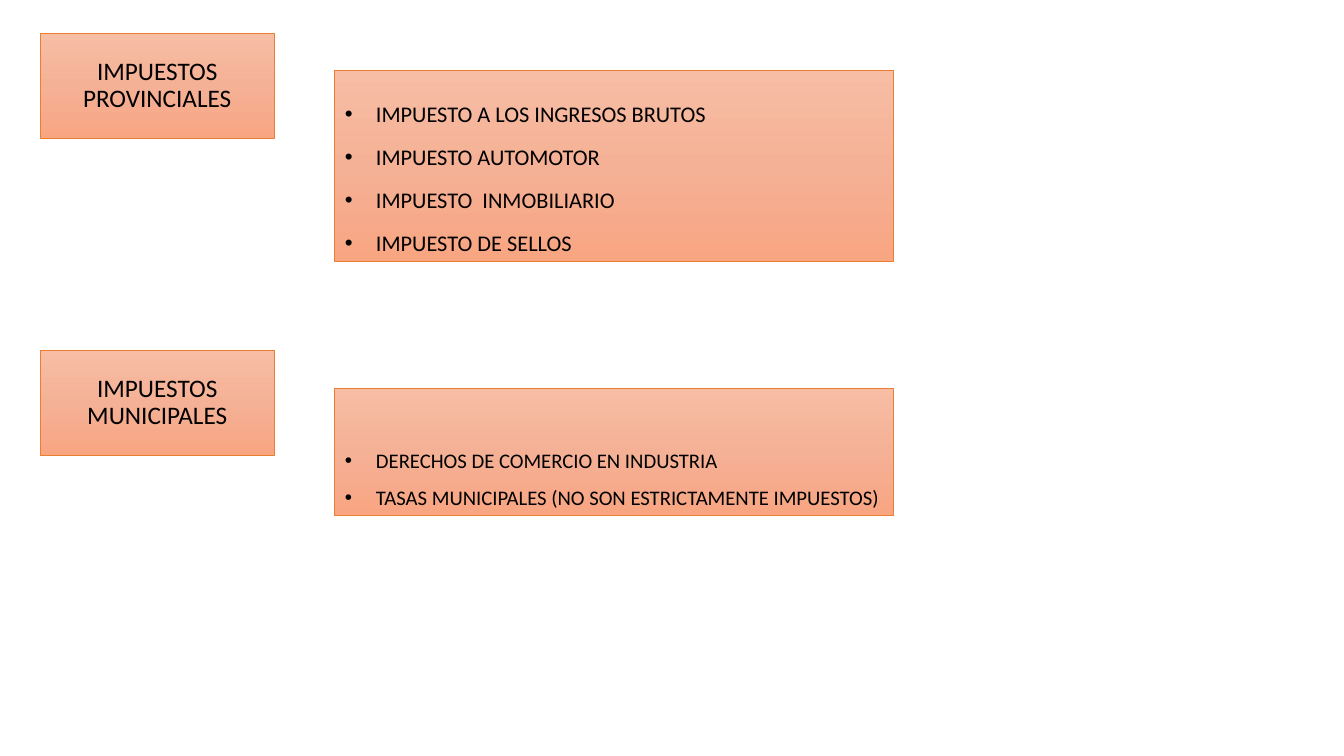
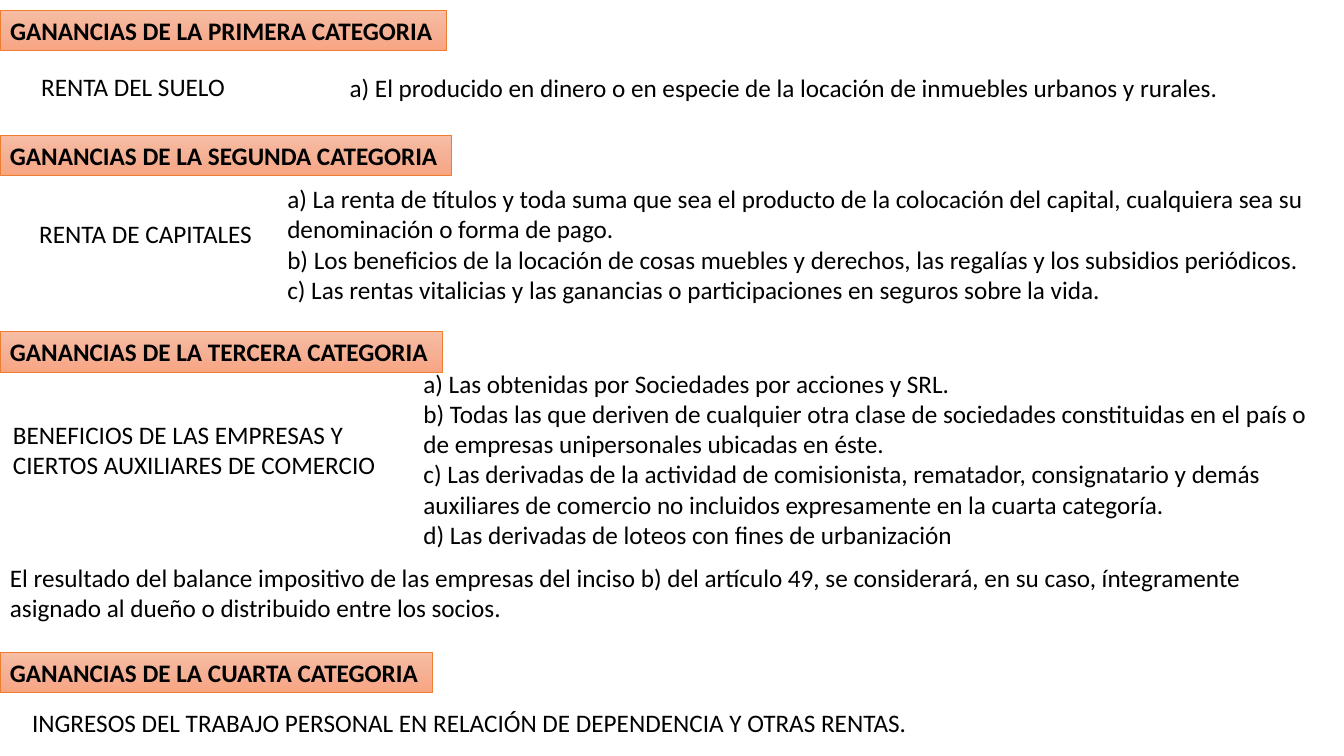
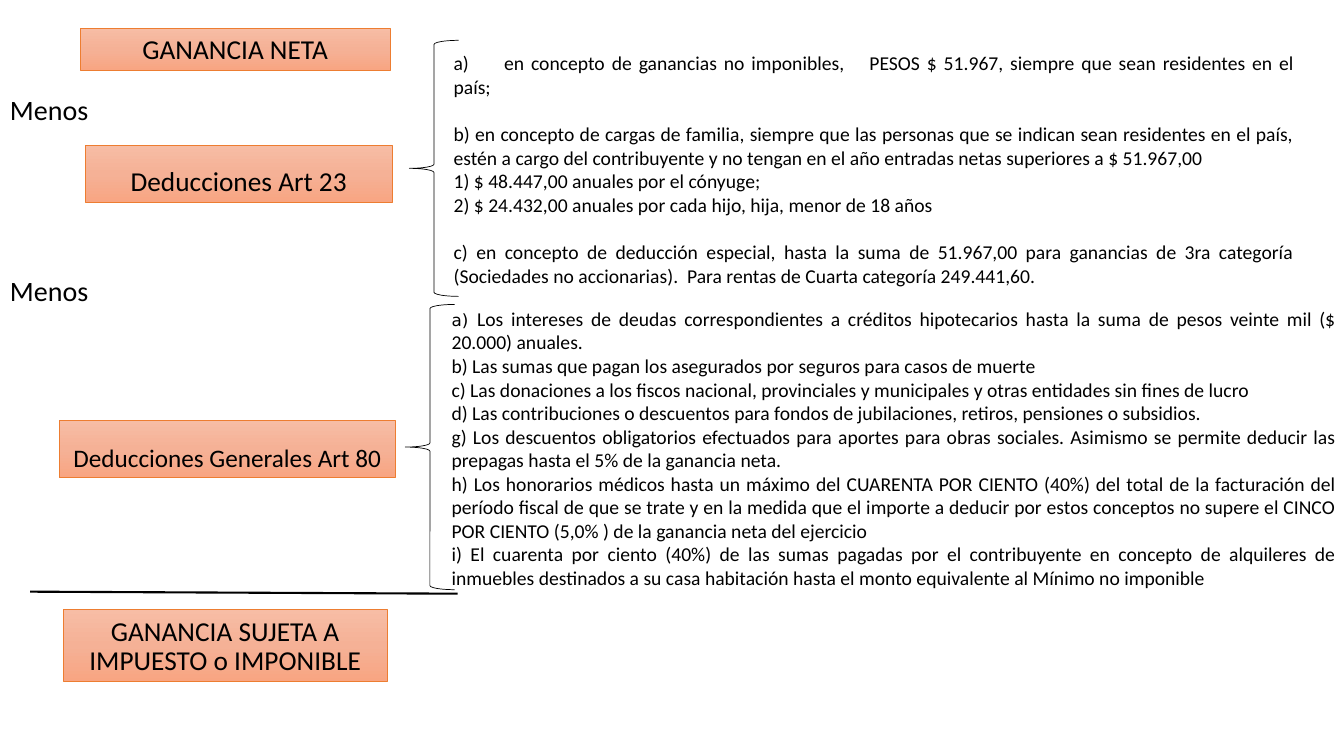
"""Build three slides on provincial, municipal and income taxes."""
from copy import deepcopy
from dataclasses import dataclass
from typing import Any, NamedTuple, Optional

from pptx import Presentation, util as u
from pptx.dml.color import RGBColor
from pptx.enum import shapes as kinds, text as t
from pptx.oxml import ns
from pptx.oxml.xmlchemy import OxmlElement

COLS, ROWS, CELL = 133.33, 75, u.Inches(0.1)
FONT, INK, EDGE = "Calibri", "000000", "ED7D31"
FADE = ((0, "F7BDA5"), (0.5, "F5B196"), (1, "F8A582"))
TOP, MID, LOW = t.MSO_ANCHOR.TOP, t.MSO_ANCHOR.MIDDLE, t.MSO_ANCHOR.BOTTOM
LEFT, MEET, FULL = t.PP_ALIGN.LEFT, t.PP_ALIGN.CENTER, t.PP_ALIGN.JUSTIFY
TITLE, FIRST, SECOND = 0, 1, 2


class Area(NamedTuple):
    """Place on the grid, in columns and rows."""
    col: float
    row: float
    wide: float
    high: float


class Para(NamedTuple):
    """Paragraph with a gap above, a small lead and tab stops."""
    text: str
    gap: float = 0
    lead: str = ""
    tabs: tuple[float, ...] = ()


@dataclass
class Box:
    """Text area, tinted or plain, free or in a placeholder."""
    area: Area
    paras: list[Para]
    size: float = 18
    tint: bool = False
    bold: bool = False
    anchor: Any = TOP
    align: Any = LEFT
    pitch: float = 1.0
    dots: bool = False
    hold: Optional[int] = None


def put(item: Any, **vals: Any) -> None:
    """Set attributes from format values."""
    for key, val in vals.items():
        setattr(item, key, val)


def cells(num: float) -> int:
    """Turn grid cells into a length."""
    return int(num * CELL)


def hue(code: str) -> RGBColor:
    """Turn a hex string into a colour."""
    return RGBColor.from_string(code)


def lines(*texts: str) -> list[Para]:
    """Make plain paragraphs."""
    return [Para(text) for text in texts]


def edge(shape: Any, code: str, width: float) -> None:
    """Set the outline."""
    shape.line.color.rgb = hue(code)
    shape.line.width = u.Pt(width)


def shade(shape: Any) -> None:
    """Apply the shared gradient and outline."""
    shape.shadow.inherit = False
    shape.fill.gradient()
    shape.fill.gradient_angle = 270
    stops = shape._element.spPr.find(".//" + ns.qn("a:gsLst"))
    stops.append(deepcopy(stops[-1]))
    for stop, (pos, code) in zip(shape.fill.gradient_stops, FADE):
        stop.position = pos
        stop.color.rgb = hue(code)
    edge(shape, EDGE, 0.5)


def mark(para: Any, dots: bool, tabs: tuple[float, ...]) -> None:
    """Set the bullet, indent and tab stops."""
    props = para._p.get_or_add_pPr()
    hang = cells(3.1) if dots else 0
    props.set("marL", str(hang))
    props.set("indent", str(-hang))
    dot = OxmlElement("a:buChar" if dots else "a:buNone")
    if dots:
        dot.set("char", "•")
    props.append(dot)
    if tabs:
        group = OxmlElement("a:tabLst")
        for stop in tabs:
            tab = OxmlElement("a:tab")
            tab.set("pos", str(cells(stop)))
            tab.set("algn", "l")
            group.append(tab)
        props.append(group)


def write(para: Any, text: str, name: str, size: float, bold: bool) -> None:
    """Add one run of text."""
    run = para.add_run()
    run.text = text
    put(run.font, name=name, size=u.Pt(size), bold=bold)
    run.font.color.rgb = hue(INK)


def draw(slide: Any, box: Box) -> None:
    """Draw a text area."""
    left, top, width, height = map(cells, box.area)
    if box.hold is not None:
        shape = slide.placeholders[box.hold]
        put(shape, left=left, top=top, width=width, height=height)
    elif box.tint:
        shape = slide.shapes.add_shape(
            kinds.MSO_SHAPE.RECTANGLE, left, top, width, height)
    else:
        shape = slide.shapes.add_textbox(left, top, width, height)
    if box.tint:
        shade(shape)
    frame = shape.text_frame
    put(frame, word_wrap=True, auto_size=t.MSO_AUTO_SIZE.NONE,
        vertical_anchor=box.anchor, margin_left=cells(1),
        margin_right=cells(1), margin_top=cells(0.5),
        margin_bottom=cells(0.5))
    for num, item in enumerate(box.paras):
        para = frame.add_paragraph() if num else frame.paragraphs[0]
        mark(para, box.dots, item.tabs)
        put(para, alignment=box.align, line_spacing=box.pitch,
            space_before=u.Pt(item.gap), space_after=u.Pt(0))
        if item.lead:
            write(para, item.lead, "DejaVu Sans", 12, box.bold)
        write(para, item.text, FONT, box.size, box.bold)


def brace(slide: Any, area: Area) -> None:
    """Draw a brace that opens to the right."""
    shape = slide.shapes.add_shape(
        kinds.MSO_SHAPE.RIGHT_BRACE, *map(cells, area))
    shape.rotation = 180
    shape.shadow.inherit = False
    shape.fill.background()
    edge(shape, INK, 0.5)


def rule(slide: Any, *ends: float) -> None:
    """Draw the line above the result."""
    line = slide.shapes.add_connector(
        kinds.MSO_CONNECTOR.STRAIGHT, *map(cells, ends))
    line._element.spPr.append(OxmlElement("a:effectLst"))
    edge(line, INK, 1.5)


def label(area: Area, text: str, size: float = 19.5, anchor: Any = LOW,
          hold: Optional[int] = None) -> Box:
    """Make a tinted, centred label."""
    return Box(area, lines(text), size, True, anchor=anchor, align=MEET,
               pitch=0.9, hold=hold)


def levels() -> list[Box]:
    """List provincial and municipal taxes."""
    groups = (
        ("IMPUESTOS PROVINCIALES", 3.3, 18.9, 16, 1.6, TITLE, FIRST,
         lines("IMPUESTO A LOS INGRESOS BRUTOS", "IMPUESTO AUTOMOTOR",
               "IMPUESTO  INMOBILIARIO", "IMPUESTO DE SELLOS")),
        ("IMPUESTOS MUNICIPALES", 34.8, 12.6, 14.8, 1.5, None, SECOND,
         lines("DERECHOS DE COMERCIO EN INDUSTRIA",
               "TASAS MUNICIPALES (NO SON ESTRICTAMENTE IMPUESTOS)")),
    )
    boxes = []
    for name, row, high, size, pitch, head, body, items in groups:
        boxes += [
            label(Area(4, row, 23.2, 10.4), name, 18, MID, head),
            Box(Area(33.2, row + 3.7, 55.4, high), items, size, True,
                anchor=LOW, pitch=pitch, dots=True, hold=body)]
    return boxes


def classes() -> list[Box]:
    """Describe the four classes of income."""
    heads = (("PRIMERA", 1, 44.3, TITLE), ("SEGUNDA", 13.4, 44.8, None),
             ("TERCERA", 32.9, 43.9, None), ("CUARTA", 64.7, 42.9, None))
    boxes = [
        Box(Area(0, row, wide, 4),
            lines(f"GANANCIAS DE LA {name} CATEGORIA"),
            tint=True, bold=True, hold=hold)
        for name, row, wide, hold in heads]
    notes = (
        (Area(3.1, 6.6, 20.4, 4), "RENTA DEL SUELO"),
        (Area(33.7, 6.7, 96, 4),
         "a) El producido en dinero o en especie de la locación de "
         "inmuebles urbanos y rurales."),
        (Area(2.9, 21.2, 23.3, 4), "RENTA DE CAPITALES"),
        (Area(0.3, 41.1, 41.4, 7.1),
         "BENEFICIOS DE LAS EMPRESAS Y CIERTOS AUXILIARES DE COMERCIO"),
        (Area(0, 55.3, COLS, 7.1),
         "El resultado del balance impositivo de las empresas del inciso b) "
         "del artículo 49, se considerará, en su caso, íntegramente "
         "asignado al dueño o distribuido entre los socios."),
        (Area(2.2, 69.7, 90.3, 4),
         "INGRESOS DEL TRABAJO PERSONAL EN RELACIÓN DE DEPENDENCIA Y "
         "OTRAS RENTAS."),
    )
    boxes += [Box(area, lines(text)) for area, text in notes]
    return boxes + [
        Box(Area(27.5, 17.7, 105.9, 13.1), lines(
            "a) La renta de títulos y toda suma que sea el producto de la "
            "colocación del capital, cualquiera sea su denominación o forma "
            "de pago.",
            "b) Los beneficios de la locación de cosas muebles y derechos, "
            "las regalías y los subsidios periódicos.",
            "c) Las rentas vitalicias y las ganancias o participaciones en "
            "seguros sobre la vida."), hold=FIRST),
        Box(Area(41, 36, 92.4, 19.2), lines(
            "a) Las obtenidas por Sociedades por acciones y SRL.",
            "b) Todas las que deriven de cualquier otra clase de sociedades "
            "constituidas en el país o de empresas unipersonales ubicadas "
            "en éste.",
            "c) Las derivadas de la actividad de comisionista, rematador, "
            "consignatario y demás auxiliares de comercio no incluidos "
            "expresamente en la cuarta categoría.",
            "d) Las derivadas de loteos con fines de urbanización"),
            hold=SECOND)]


def net() -> list[Box]:
    """Show the way from net to taxable income."""
    special = [
        Para("a)\ten concepto de ganancias no imponibles,\tPESOS $ 51.967, "
             "siempre que sean residentes en el país;", tabs=(2.5, 37.1)),
        Para("b) en concepto de cargas de familia, siempre que las personas "
             "que se indican sean residentes en el país, estén a cargo del "
             "contribuyente y no tengan en el año entradas netas superiores "
             "a $ 51.967,00", 17),
        Para("1) $ 48.447,00 anuales por el cónyuge;"),
        Para("2) $ 24.432,00 anuales por cada hijo, hija, menor de 18 años"),
        Para("c) en concepto de deducción especial, hasta la suma de "
             "51.967,00 para ganancias de 3ra categoría (Sociedades no "
             "accionarias).  Para rentas de Cuarta categoría 249.441,60.",
             17)]
    common = [Para(
        "Los intereses de deudas correspondientes a créditos hipotecarios "
        "hasta la suma de pesos veinte mil ($ 20.000) anuales.",
        lead="a) ")] + lines(
        "b) Las sumas que pagan los asegurados por seguros para casos de "
        "muerte",
        "c) Las donaciones a los fiscos nacional, provinciales y municipales "
        "y otras entidades sin fines de lucro",
        "d) Las contribuciones o descuentos para fondos de jubilaciones, "
        "retiros, pensiones o subsidios.",
        "g) Los descuentos obligatorios efectuados para aportes para obras "
        "sociales. Asimismo se permite deducir las prepagas hasta el 5% de "
        "la ganancia neta.",
        "h) Los honorarios médicos hasta un máximo del CUARENTA POR CIENTO "
        "(40%) del total de la facturación del período fiscal de que se "
        "trate y en la medida que el importe a deducir por estos conceptos "
        "no supere el CINCO POR CIENTO (5,0% ) de la ganancia neta del "
        "ejercicio",
        "i) El cuarenta por ciento (40%) de las sumas pagadas por el "
        "contribuyente en concepto de alquileres de inmuebles destinados a "
        "su casa habitación hasta el monto equivalente al Mínimo no "
        "imponible")
    minus = [Box(Area(0, row, 10.9, 4.2), lines("Menos"), 20, anchor=LOW,
                 pitch=0.9) for row in (8.8, 26.8)]
    return minus + [
        label(Area(8, 2.8, 30.7, 4.2), "GANANCIA NETA", hold=TITLE),
        label(Area(8.5, 14.4, 30.4, 5.7), "Deducciones Art 23"),
        label(Area(5.9, 41.7, 33.3, 5.7), "Deducciones Generales Art 80", 18),
        label(Area(6.3, 60.5, 32.1, 7.1),
              "GANANCIA SUJETA A IMPUESTO o IMPONIBLE"),
        Box(Area(44, 5.7, 85.4, 22.2), special, 14, anchor=MID, align=FULL,
            hold=FIRST),
        Box(Area(43.8, 29.8, 89.8, 29.3), common, 14, anchor=MID, align=FULL,
            hold=SECOND)]


def main() -> None:
    """Build and save the slides."""
    deck = Presentation()
    put(deck, slide_width=cells(COLS), slide_height=cells(ROWS))
    for boxes in (levels(), classes(), net()):
        slide = deck.slides.add_slide(deck.slide_layouts[3])
        for box in boxes:
            draw(slide, box)
    rule(slide, 3, 58.7, 45.4, 58.9)
    for area in (Area(40.6, 4, 4.9, 25.4), Area(40.2, 30.2, 4.9, 28.3)):
        brace(slide, area)
    deck.save("out.pptx")


if __name__ == "__main__":
    main()
